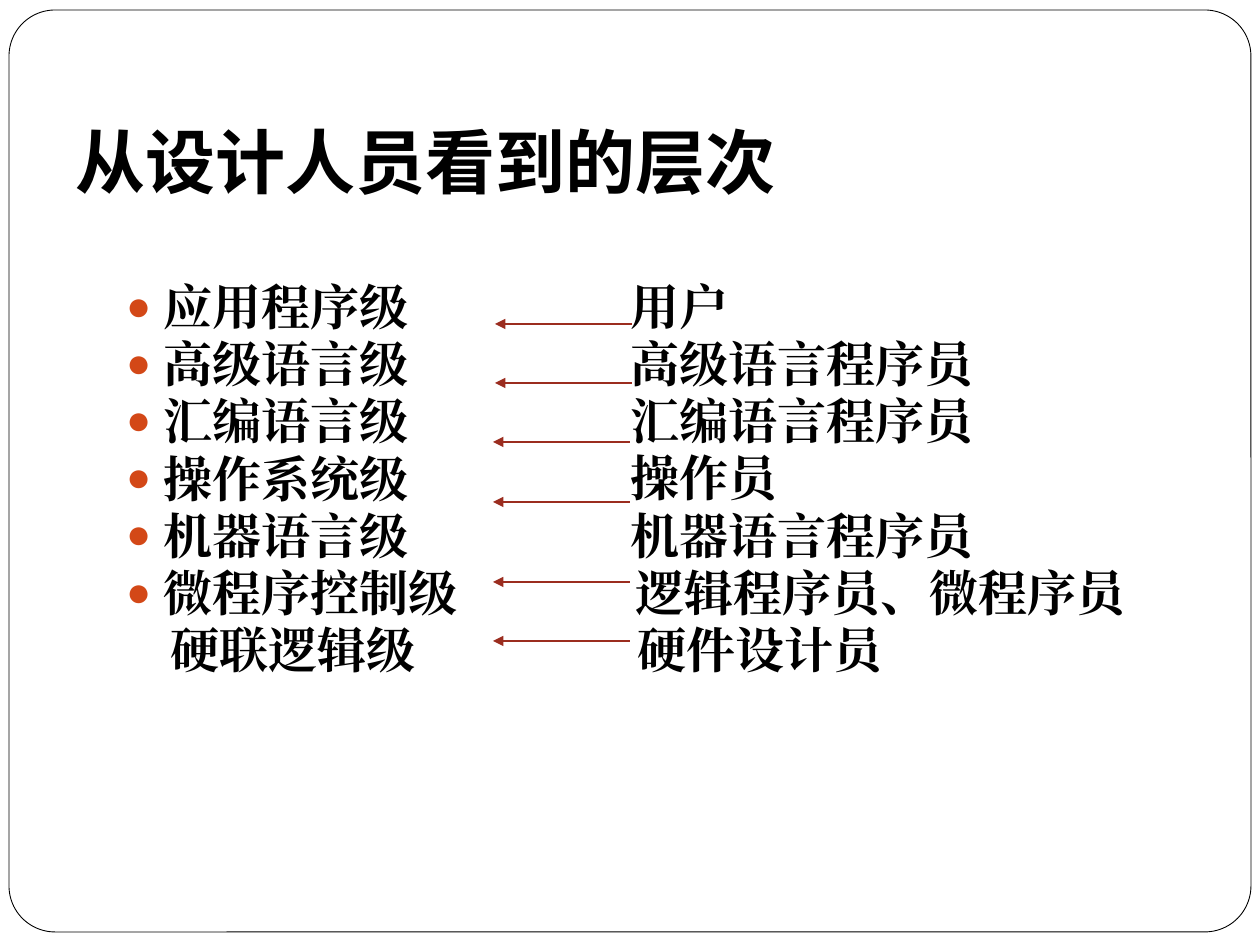
from typing import NamedTuple

from lxml import etree
from pptx import Presentation
from pptx.dml.color import RGBColor
from pptx.enum.shapes import MSO_CONNECTOR, MSO_SHAPE
from pptx.enum.text import MSO_ANCHOR, MSO_AUTO_SIZE, PP_ALIGN
from pptx.oxml.ns import qn
from pptx.util import Emu, Pt

STRAIGHT = MSO_CONNECTOR.STRAIGHT
ROUNDED = MSO_SHAPE.ROUNDED_RECTANGLE
TOP = MSO_ANCHOR.TOP
BOTTOM = MSO_ANCHOR.BOTTOM
LEFT = PP_ALIGN.LEFT
NO_AUTOFIT = MSO_AUTO_SIZE.NONE

PX = 914400 // 126
BLACK = "000000"
WHITE = "FFFFFF"
ORANGE = "D34817"
RED = "9B2D1F"


class Box(NamedTuple):
    left: int
    top: int
    width: int
    height: int


class Entry(NamedTuple):
    text: str
    margin: int = 0
    bullet: bool = False


class Arrow(NamedTuple):
    start: int
    end: int
    y: int


FRAME = Box(9, 10, 1242, 922)
TITLE = Box(63, 58, 1134, 158)
LEVEL_BOX = Box(113, 282, 490, 441)
ROLE_BOX = Box(618, 282, 558, 441)

LEVELS = [
    *(Entry(text, 38, True) for text in (
        "应用程序级", "高级语言级", "汇编语言级", "操作系统级", "机器语言级", "微程序控制级")),
    Entry("硬联逻辑级", 45),
]
ROLES = [
    Entry("用户"),
    Entry("高级语言程序员"),
    Entry("汇编语言程序员"),
    Entry("操作员"),
    Entry("机器语言程序员"),
    Entry("逻辑程序员、微程序员", 5),
    Entry("硬件设计员", 7),
]
ARROWS = [
    *(Arrow(632, 495, y) for y in (324, 383)),
    *(Arrow(630, 493, y) for y in (442, 502, 582, 641)),
]


def color(value: str) -> RGBColor:
    return RGBColor.from_string(value)


def px(length: int) -> Emu:
    return Emu(length * PX)


def apply(target, values: dict) -> None:
    for name, value in values.items():
        setattr(target, name, value)


def place(shape, box: Box) -> None:
    apply(shape, {name: px(value) for name, value in box._asdict().items()})


def format_frame(shape, anchor, bottom: int) -> None:
    apply(shape.text_frame, {
        "word_wrap": True, "auto_size": NO_AUTOFIT, "vertical_anchor": anchor,
        "margin_left": px(13), "margin_right": px(13),
        "margin_top": px(6), "margin_bottom": px(bottom),
    })


def add_span(para, text: str, font_name: str, size: int) -> None:
    span = para.add_run()
    span.text = text
    apply(span.font, {"name": font_name, "size": Pt(size), "bold": True})
    span.font.color.rgb = color(BLACK)
    latin = span.font._element.find(qn("a:latin"))
    east_asian = etree.Element(qn("a:ea"), typeface=font_name)
    latin.addnext(east_asian)


def set_bullet(para, entry: Entry) -> None:
    properties = para._p.get_or_add_pPr()
    properties.set("marL", str(px(entry.margin)))
    properties.set("indent", str(px(-entry.margin if entry.bullet else 0)))
    if not entry.bullet:
        etree.SubElement(properties, qn("a:buNone"))
        return
    bullet_color = etree.SubElement(properties, qn("a:buClr"))
    etree.SubElement(bullet_color, qn("a:srgbClr"), val=ORANGE)
    etree.SubElement(properties, qn("a:buSzPct"), val="85000")
    etree.SubElement(properties, qn("a:buChar"), char="●")


def fill_column(shape, box: Box, entries: list[Entry]) -> None:
    place(shape, box)
    format_frame(shape, TOP, 6)
    for index, entry in enumerate(entries):
        para = shape.text_frame.add_paragraph() if index else shape.text_frame.paragraphs[0]
        set_bullet(para, entry)
        apply(para, {
            "alignment": LEFT, "line_spacing": Pt(26.9), "space_after": Pt(0),
            "space_before": Pt(5.8 if index else 0),
        })
        add_span(para, entry.text, "Times New Roman", 28)


def add_frame(page) -> None:
    frame = page.shapes.add_shape(ROUNDED, *map(px, FRAME))
    frame.adjustments[0] = 0.05
    frame.shadow.inherit = False
    frame.fill.solid()
    frame.fill.fore_color.rgb = color(WHITE)
    frame.line.color.rgb = color(BLACK)
    frame.line.width = Pt(0.5)
    frame.element.getparent().insert(2, frame.element)


def add_title(page) -> None:
    title = page.shapes.title
    place(title, TITLE)
    format_frame(title, BOTTOM, 13)
    para = title.text_frame.paragraphs[0]
    para.alignment = LEFT
    add_span(para, "从设计人员看到的层次", "Roboto", 40)


def add_arrow(page, arrow: Arrow) -> None:
    connector = page.shapes.add_connector(
        STRAIGHT, px(arrow.start), px(arrow.y), px(arrow.end), px(arrow.y))
    connector.line.color.rgb = color(RED)
    connector.line.width = Pt(1.5)
    properties = connector.element.spPr
    etree.SubElement(properties.find(qn("a:ln")), qn("a:tailEnd"), type="triangle")
    etree.SubElement(properties, qn("a:effectLst"))


def main() -> None:
    deck = Presentation()
    deck.slide_width, deck.slide_height = px(1260), px(945)
    page = deck.slides.add_slide(deck.slide_layouts[1])
    add_frame(page)
    add_title(page)
    fill_column(page.placeholders[1], LEVEL_BOX, LEVELS)
    fill_column(page.shapes.add_textbox(*map(px, ROLE_BOX)), ROLE_BOX, ROLES)
    for arrow in ARROWS:
        add_arrow(page, arrow)
    deck.save("out.pptx")


if __name__ == "__main__":
    main()
